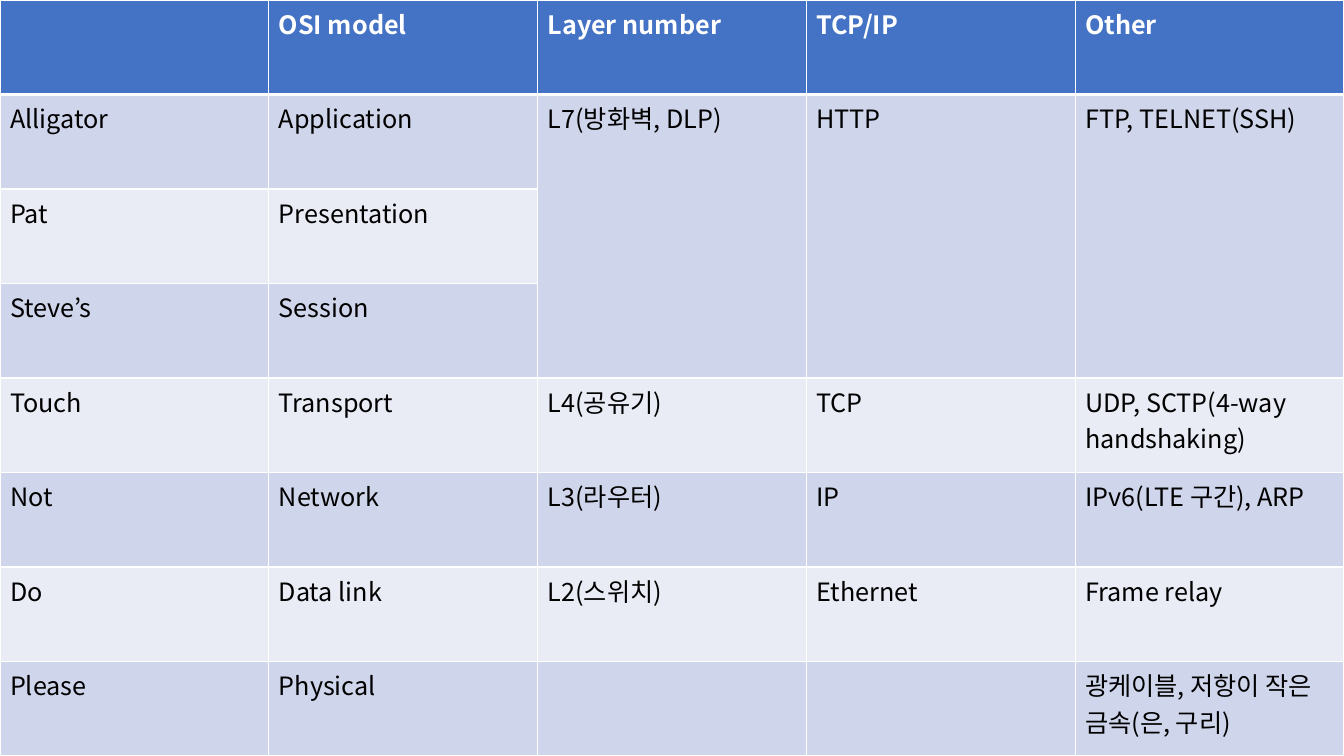
import pptx
import pptx.util
import pptx.dml.color
import pptx.oxml
import pptx.oxml.ns
import lxml.etree

Pt = pptx.util.Pt
RGB = pptx.dml.color.RGBColor.from_string
qn = pptx.oxml.ns.qn

FONT = "Noto Sans CJK KR"
COLORS = {"head": "4472C4", "odd": "CFD5EA", "even": "E9EBF5",
          "white": "FFFFFF", "black": "000000"}
ROWS = [
    ("", "OSI model", "Layer number", "TCP/IP", "Other"),
    ("Alligator", "Application", "L7(방화벽, DLP)", "HTTP", "FTP, TELNET(SSH)"),
    ("Pat", "Presentation", "", "", ""),
    ("Steve’s", "Session", "", "", ""),
    ("Touch", "Transport", "L4(공유기)", "TCP", "UDP, SCTP(4-way handshaking)"),
    ("Not", "Network", "L3(라우터)", "IP", "IPv6(LTE 구간), ARP"),
    ("Do", "Data link", "L2(스위치)", "Ethernet", "Frame relay"),
    ("Please", "Physical", "", "", "광케이블, 저항이 작은 금속(은, 구리)"),
]
MERGED = (2, 3, 4)
WIDE, HIGH = 960, 540


def edge(cell, sides):
    props = cell._tc.get_or_add_tcPr()
    for pos, (side, width) in enumerate(sides.items()):
        line = lxml.etree.Element(qn("a:ln" + side), w=str(Pt(width)))
        fill = lxml.etree.SubElement(line, qn("a:solidFill"))
        lxml.etree.SubElement(fill, qn("a:srgbClr"), val=COLORS["white"])
        props.insert(pos, line)


def style(cell, text, row):
    head = row == 0
    tone = "head" if head else "odd" if row % 2 else "even"
    cell.fill.solid()
    cell.fill.fore_color.rgb = RGB(COLORS[tone])
    edge(cell, {"L": 1, "R": 1, "T": 3 if row == 1 else 1, "B": 3 if head else 1})
    cell.text_frame.text = text
    for run in cell.text_frame.paragraphs[0].runs:
        font = run.font
        font.name, font.size, font.bold = FONT, Pt(18), head
        font.color.rgb = RGB(COLORS["white" if head else "black"])
        lxml.etree.SubElement(font._element, qn("a:ea"), typeface=FONT)


deck = pptx.Presentation()
deck.slide_width, deck.slide_height = Pt(WIDE), Pt(HIGH)
slide = deck.slides.add_slide(deck.slide_layouts[6])
table = slide.shapes.add_table(len(ROWS), len(ROWS[0]), 0, 0, Pt(WIDE), Pt(HIGH)).table
for col in table.columns:
    col.width = Pt(WIDE / len(ROWS[0]))
for line in table.rows:
    line.height = Pt(HIGH / len(ROWS))
for row, texts in enumerate(ROWS):
    for col, text in enumerate(texts):
        style(table.cell(row, col), text, row)
for col in MERGED:
    table.cell(1, col).merge(table.cell(3, col))

deck.save("out.pptx")
